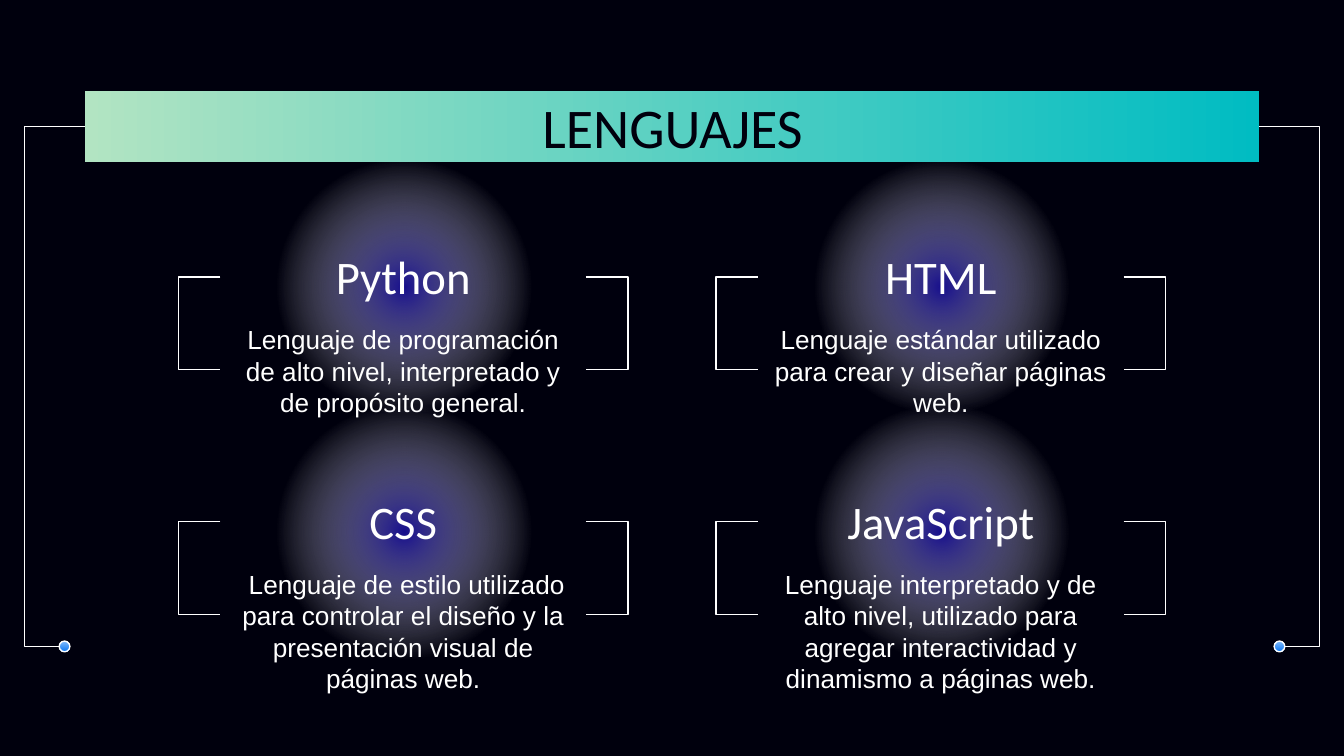
from lxml.etree import SubElement
from pptx import Presentation
from pptx.dml.color import RGBColor
from pptx.enum.shapes import MSO_CONNECTOR, MSO_SHAPE
from pptx.enum.text import MSO_ANCHOR, MSO_AUTO_SIZE, PP_ALIGN
from pptx.oxml.ns import qn
from pptx.util import Emu, Inches, Pt

TITLE = "LENGUAJES"
CARDS = [
    ("Python", "Lenguaje de programación de alto nivel, interpretado y de propósito general."),
    ("HTML", "Lenguaje estándar utilizado para crear y diseñar páginas web."),
    ("CSS", " Lenguaje de estilo utilizado para controlar el diseño y la presentación visual de páginas web."),
    ("JavaScript", "Lenguaje interpretado y de alto nivel, utilizado para agregar interactividad y dinamismo a páginas web."),
]
THEME = {
    "dark": "00000D", "light": "FFFFFF",
    "head": "Calibri", "body": "Arial",
    "title": 30, "name": 25, "text": 14, "line": 0.75,
    # Gradient stops: position, colour, opacity (all in percent)
    "bar": [(0, "00BCC2", 100), (100, "B2E4C2", 100)],
    "dot": [(0, "82BCFE", 100), (100, "0C77F1", 100)],
    "glow": [(0, "170F8D", 100), (61, "FFFFFF", 0), (100, "FFFFFF", 0)],
}
WIDE = 10
HIGH = WIDE * 9 / 16
LEFT, TOP = 1.64, 1.8          # first card
STEP_X, STEP_Y = 4, 1.82       # from card to card
CARD_W, NAME_H, TEXT_H = 2.72, 0.51, 0.87
REACH = 0.26                   # how far brackets stand out
THIN = Emu(600).inches         # an elbow needs some width to bend by
BAR = (0.63, 0.68, 8.74, 0.53)
DOT = 0.08


def rgb(key):
    return RGBColor.from_string(THEME[key])


def box(x, y, w, h):
    return [Inches(v) for v in (x, y, w, h)]


def put_text(shape, text, size, font, color="light", anchor=MSO_ANCHOR.TOP):
    frame = shape.text_frame
    frame.word_wrap = True
    frame.auto_size = MSO_AUTO_SIZE.NONE
    frame.vertical_anchor = anchor
    frame.margin_left = frame.margin_right = Inches(0.1)
    frame.margin_top = frame.margin_bottom = Inches(0.1)
    para = frame.paragraphs[0]
    para.text = text
    para.alignment = PP_ALIGN.CENTER
    para.font.size = Pt(THEME[size])
    para.font.name = THEME[font]
    para.font.color.rgb = rgb(color)


def blend(shape, stops, angle=None):
    """Fill with a linear gradient, or a round one when no angle is given."""
    shape.fill.gradient()
    grad = shape._element.spPr.find(qn("a:gradFill"))
    for child in list(grad):
        grad.remove(child)
    group = SubElement(grad, qn("a:gsLst"))
    for pos, color, alpha in stops:
        stop = SubElement(group, qn("a:gs"), pos=str(pos * 1000))
        tint = SubElement(stop, qn("a:srgbClr"), val=color)
        if alpha < 100:
            SubElement(tint, qn("a:alpha"), val=str(alpha * 1000))
    if angle is None:
        way = SubElement(grad, qn("a:path"), path="circle")
        SubElement(way, qn("a:fillToRect"), l="50000", t="50000", r="50000", b="50000")
    else:
        SubElement(grad, qn("a:lin"), ang=str(angle * 60000), scaled="0")


def add_shape(slide, kind, place, stops, angle=None, edge=False):
    shape = slide.shapes.add_shape(kind, *box(*place))
    shape.shadow.inherit = False
    blend(shape, stops, angle)
    if edge:
        shape.line.color.rgb = rgb("light")
        shape.line.width = Pt(THEME["line"])
    else:
        shape.line.fill.background()


def bracket(slide, start, end, edge):
    """Elbow line whose upright stands at x = edge."""
    (x1, y1), (x2, y2) = start, end
    link = slide.shapes.add_connector(MSO_CONNECTOR.ELBOW, *box(x1, y1, x2, y2))
    link.line.color.rgb = rgb("light")
    link.line.width = Pt(THEME["line"])
    props = link._element.spPr
    SubElement(props, qn("a:effectLst"))
    guides = props.find(qn("a:prstGeom")).get_or_add_avLst()
    bend = round((edge - x1) / (x2 - x1) * 100000)
    SubElement(guides, qn("a:gd"), name="adj1", fmla=f"val {bend}")


def add_card(slide, x, y, name, text):
    add_shape(slide, MSO_SHAPE.OVAL, (x + 0.18, y - 0.67, 2.37, 2.01), THEME["glow"])
    head = slide.shapes.add_textbox(*box(x, y, CARD_W, NAME_H))
    put_text(head, name, size="name", font="head", anchor=MSO_ANCHOR.MIDDLE)
    body = slide.shapes.add_textbox(*box(x, y + NAME_H, CARD_W, TEXT_H))
    put_text(body, text, size="text", font="body")
    for side, edge in ((x, x - REACH), (x + CARD_W, x + CARD_W + REACH)):
        bracket(slide, (side, y + 0.26), (side + THIN, y + 0.95), edge)


def main():
    deck = Presentation()
    deck.slide_width, deck.slide_height = Inches(WIDE), Inches(HIGH)
    slide = deck.slides.add_slide(deck.slide_layouts[5])
    slide.background.fill.solid()
    slide.background.fill.fore_color.rgb = rgb("dark")

    for i, (name, text) in enumerate(CARDS):
        row, col = divmod(i, 2)
        add_card(slide, LEFT + col * STEP_X, TOP + row * STEP_Y, name, text)

    add_shape(slide, MSO_SHAPE.RECTANGLE, BAR, THEME["bar"], angle=180)
    low, high = 4.81, 0.94
    for start, end, edge, dot in (
        (0.44, BAR[0], 0.18, 0.44),
        (WIDE - 0.44, WIDE - BAR[0], WIDE - 0.18, WIDE - 0.44 - DOT),
    ):
        bracket(slide, (start, low), (end, high), edge)
        add_shape(slide, MSO_SHAPE.OVAL, (dot, low - DOT / 2, DOT, DOT),
                  THEME["dot"], angle=90, edge=True)

    title = slide.shapes.title
    title.left, title.top, title.width, title.height = box(0.79, 0.59, 8.43, 0.63)
    put_text(title, TITLE, size="title", font="head", color="dark")
    slide.shapes._spTree.append(title._element)  # bring above the bar
    deck.save("out.pptx")


if __name__ == "__main__":
    main()
